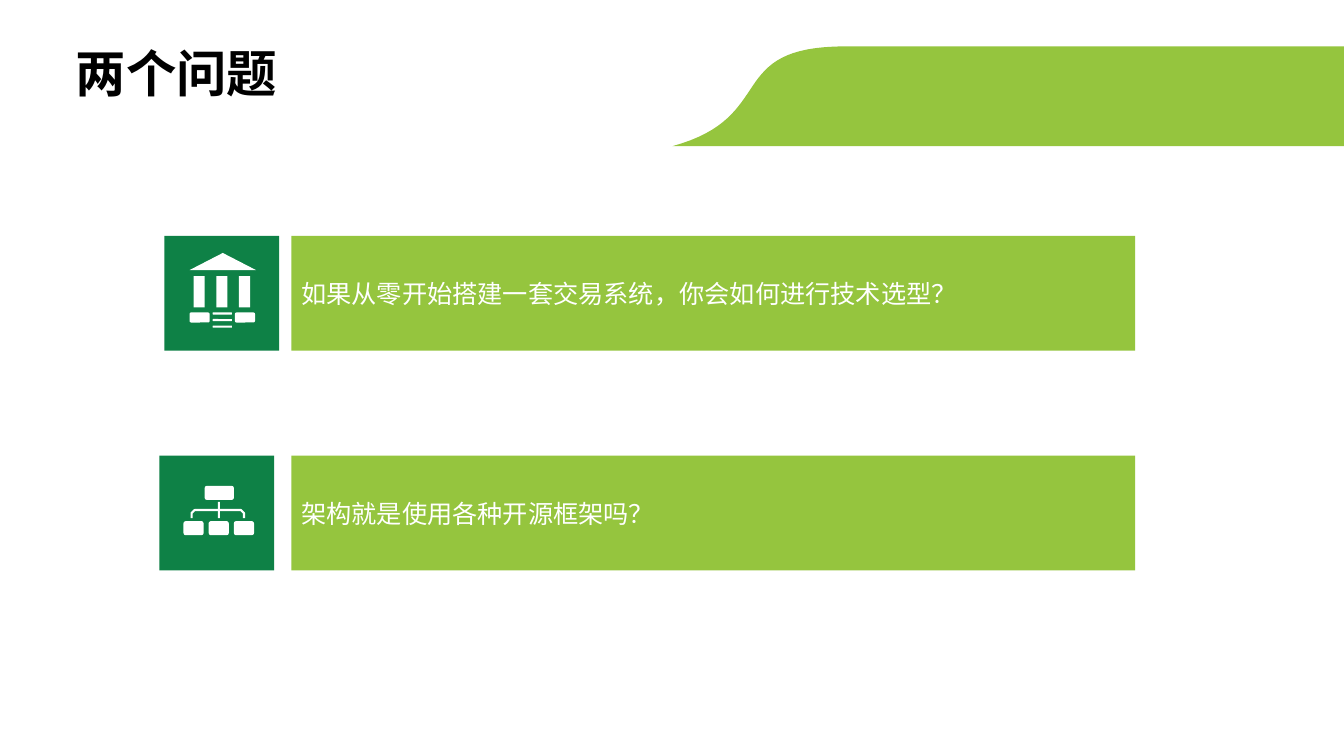
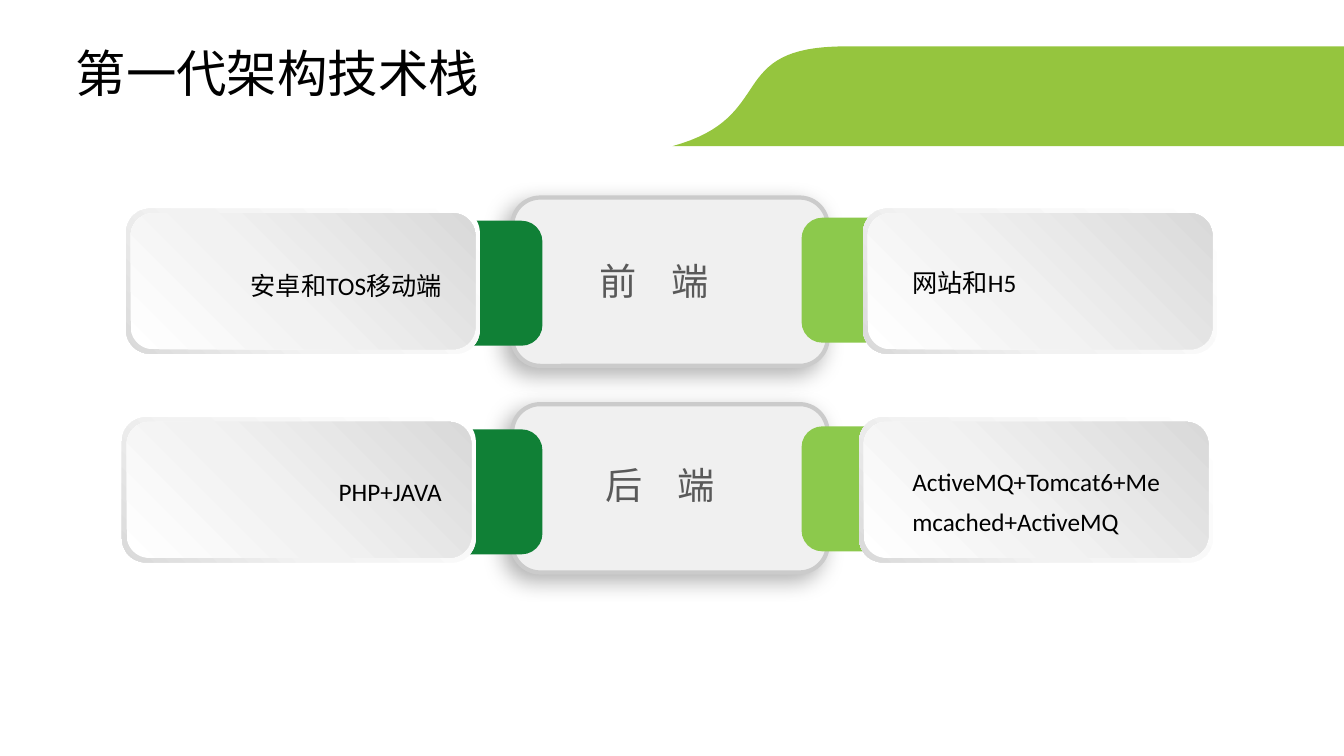
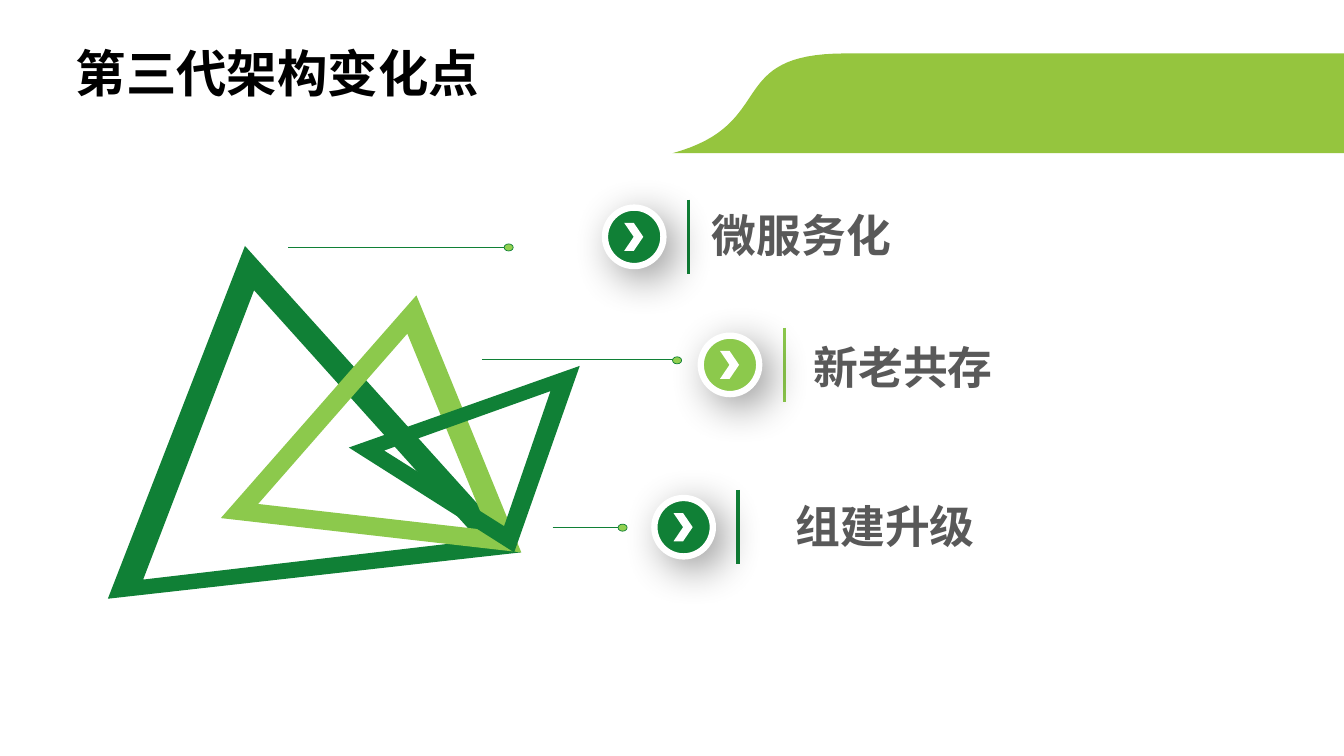
from lxml import etree
from pptx import Presentation
from pptx.dml.color import RGBColor
from pptx.enum.shapes import MSO_CONNECTOR, MSO_SHAPE as SHAPE
from pptx.enum.text import MSO_ANCHOR as ANCHOR, MSO_AUTO_SIZE as FIT, PP_ALIGN as ALIGN
from pptx.oxml.ns import qn
from pptx.util import Inches, Pt

COLORS = {
    "band": "95C53E", "icon": "0E8146", "dark": "108036", "light": "8CC94C",
    "dot": "92D050", "panel": "F0F0F0", "edge": "CBCBCB", "label": "595959",
    "black": "000000", "white": "FFFFFF", "mist": "F2F2F2", "silver": "D9D9D9",
}
TITLE = {"size": Pt(36), "name": "Calibri", "color": "black"}
BODY = {"size": Pt(18), "name": "Calibri", "color": "black"}
ON_GREEN = {**BODY, "color": "white"}
PANEL_LABEL = {"size": Pt(26.6), "name": "Karla", "color": "label"}
POINT_LABEL = {"size": Pt(32), "name": "Karla", "color": "label", "bold": True}


def rgb(name):
    return RGBColor.from_string(COLORS[name])


def bezier(p0, p1, p2, p3, steps=32):
    """Points along a cubic curve, without its start."""
    points = []
    for i in range(1, steps + 1):
        t = i / steps
        weights = ((1 - t) ** 3, 3 * t * (1 - t) ** 2, 3 * t * t * (1 - t), t ** 3)
        points.append(tuple(sum(w * p[axis] for w, p in zip(weights, (p0, p1, p2, p3)))
                            for axis in (0, 1)))
    return points


class Deck:
    """The shared style and the slide being built."""

    def __init__(self):
        self.prs = Presentation()
        self.prs.slide_width, self.prs.slide_height = Inches(13.33), Inches(7.5)
        self.s = None

    def slide(self, title, bold=True, band_top=0.46):
        self.s = self.prs.slides.add_slide(self.prs.slide_layouts[5])
        self.band(band_top)
        sp = self.s.shapes.title
        sp.left, sp.top = Inches(0.65), Inches(0.37)
        sp.width, sp.height = Inches(0.2 + 0.505 * len(title)), Inches(0.71)
        self.set_text(sp, title, {**TITLE, "bold": bold}, wrap=False)

    def band(self, top):
        bottom = top + 0.99
        curve = bezier((6.67, bottom), (7.73, top + 0.7), (7.17, top), (8.39, top))
        self.outline([[(13.33, top), (13.33, bottom), (6.67, bottom)] + curve], "band")

    def set_text(self, sp, text, style, align=ALIGN.LEFT, anchor=ANCHOR.TOP,
                 wrap=True, spacing=None, tab=None, fit=FIT.SHAPE_TO_FIT_TEXT):
        tf = sp.text_frame
        tf.word_wrap, tf.auto_size, tf.vertical_anchor = wrap, fit, anchor
        p = tf.paragraphs[0]
        p.alignment = align
        if spacing:
            p.line_spacing = spacing
        if tab:
            tabs = etree.SubElement(p._p.get_or_add_pPr(), qn("a:tabLst"))
            etree.SubElement(tabs, qn("a:tab"), pos=str(Inches(tab)), algn="l")
        r = p.add_run()
        r.text = text
        for key, value in style.items():
            if key == "color":
                r.font.color.rgb = rgb(value)
            else:
                setattr(r.font, key, value)

    def text(self, x, y, w, h, text, style, **layout):
        box = self.s.shapes.add_textbox(Inches(x), Inches(y), Inches(w), Inches(h))
        self.set_text(box, text, style, **layout)

    def paint(self, sp, fill=None, line=None, width=None):
        sp.shadow.inherit = False
        if fill:
            sp.fill.solid()
            sp.fill.fore_color.rgb = rgb(fill)
        else:
            sp.fill.background()
        if line:
            sp.line.color.rgb = rgb(line)
            sp.line.width = Pt(width)
        else:
            sp.line.fill.background()
        return sp

    def shape(self, kind, x, y, w, h, fill, line=None, width=None):
        sp = self.s.shapes.add_shape(kind, Inches(x), Inches(y), Inches(w), Inches(h))
        return self.paint(sp, fill, line, width)

    def outline(self, contours, fill=None, line=None, width=None, close=True):
        builder = None
        for contour in contours:
            points = [(Inches(x), Inches(y)) for x, y in contour]
            if builder is None:
                builder = self.s.shapes.build_freeform(*points[0])
            else:
                builder.move_to(*points[0])
            builder.add_line_segments(points[1:], close=close)
        return self.paint(builder.convert_to_shape(), fill, line, width)

    def line(self, x1, y1, x2, y2, color, width):
        ln = self.s.shapes.add_connector(
            MSO_CONNECTOR.STRAIGHT, Inches(x1), Inches(y1), Inches(x2), Inches(y2))
        ln.line.color.rgb = rgb(color)
        ln.line.width = Pt(width)
        etree.SubElement(ln._element.spPr, qn("a:effectLst"))

    def shadow(self, sp, alpha, blur, dist, angle):
        effects = sp._element.spPr.find(qn("a:effectLst"))
        outer = etree.SubElement(effects, qn("a:outerShdw"), blurRad=str(Pt(blur)),
                                 dist=str(Pt(dist)), dir=str(angle * 60000),
                                 algn="ctr", rotWithShape="0")
        color = etree.SubElement(outer, qn("a:srgbClr"), val=COLORS["black"])
        etree.SubElement(color, qn("a:alpha"), val=str(alpha * 1000))

    def gradient(self, sp, stops, angle):
        sp.fill.gradient()
        grad = sp._element.spPr.find(qn("a:gradFill"))
        stop_list = grad.find(qn("a:gsLst"))
        for old in list(stop_list):
            stop_list.remove(old)
        for pos, name in stops:
            stop = etree.SubElement(stop_list, qn("a:gs"), pos=str(pos * 1000))
            etree.SubElement(stop, qn("a:srgbClr"), val=COLORS[name])
        grad.find(qn("a:lin")).set("ang", str(angle * 60000))

    def card(self, x, y):
        """A pale card with a rim shaded the opposite way."""
        for inset, middle, angle in ((0, 62, 135), (0.045, 42, 315)):
            sp = self.shape(SHAPE.ROUNDED_RECTANGLE, x + inset, y + inset,
                            3.51 - 2 * inset, 1.44 - 2 * inset, "white")
            self.gradient(sp, [(0, "white"), (middle, "mist"), (100, "silver")], angle)

    def question(self, icon_x, y, text):
        self.shape(SHAPE.RECTANGLE, icon_x, y, 1.14, 1.14, "icon")
        bar = self.shape(SHAPE.RECTANGLE, 2.89, y, 8.37, 1.14, "band")
        self.set_text(bar, text, ON_GREEN, anchor=ANCHOR.MIDDLE, fit=FIT.NONE)

    def bullet(self, x, y, color):
        """A round chevron button followed by an upright rule."""
        self.line(x + 0.83, y - 0.08, x + 0.83, y + 0.66, color, 2.25)
        disc = self.shape(SHAPE.OVAL, x, y, 0.58, 0.58, color, "white", 4.5)
        self.shadow(disc, 40, 30, 10, 45)
        self.shape(SHAPE.CHEVRON, x + 0.19, y + 0.15, 0.19, 0.28, "white")

    def pointer(self, x1, x2, y):
        self.line(x1, y, x2, y, "dark", 0.5)
        self.shape(SHAPE.OVAL, x2 - 0.05, y - 0.03, 0.09, 0.07, "dot", "dark", 0.5)


def questions(d):
    d.slide("两个问题")
    d.question(1.63, 2.34, "如果从零开始搭建一套交易系统，你会如何进行技术选型？")
    d.question(1.58, 4.52, "架构就是使用各种开源框架吗？")
    # Bank icon
    d.outline([[(1.88, 2.68), (2.54, 2.68), (2.21, 2.51)]], "white")
    for i in range(3):
        d.shape(SHAPE.RECTANGLE, 1.92 + 0.225 * i, 2.74, 0.11, 0.31, "white")
        d.shape(SHAPE.ROUNDED_RECTANGLE, 2.11, 3.1 + 0.065 * i, 0.19, 0.02, "white")
    for x in (1.88, 2.33):
        d.shape(SHAPE.ROUNDED_RECTANGLE, x, 3.1, 0.2, 0.1, "white")
    # Hierarchy icon
    d.shape(SHAPE.ROUNDED_RECTANGLE, 2.03, 4.82, 0.29, 0.14, "white")
    for i in range(3):
        d.shape(SHAPE.ROUNDED_RECTANGLE, 1.82 + 0.25 * i, 5.17, 0.2, 0.14, "white")
    d.shape(SHAPE.RECTANGLE, 2.16, 4.98, 0.02, 0.16, "white")
    d.outline([[(1.9, 5.14), (1.9, 5.09), (1.93, 5.06), (2.39, 5.06),
                (2.42, 5.09), (2.42, 5.14)]], line="white", width=1.5, close=False)


def first_stack(d):
    d.slide("第一代架构技术栈", bold=False)
    # Panels with a green tab and a card on each side
    for row in range(2):
        step = 2.07 * row
        panel = d.shape(SHAPE.ROUNDED_RECTANGLE, 5.08, 1.96 + 2.05 * row, 3.13, 1.67,
                        "panel", "edge", 3)
        d.shadow(panel, 30, 16, 7, 135)
        for tab_x, tab_y, color, card_x in ((2.36, 2.19, "dark", 1.25),
                                            (7.95, 2.16, "light", 8.56)):
            d.shape(SHAPE.ROUNDED_RECTANGLE, tab_x, tab_y + step, 3.02, 1.24, color)
            d.card(card_x - 0.04 * row, 2.07 + step)
    # Labels
    for x, y, text in ((5.85, 2.51, "前\t端"), (5.91, 4.54, "后\t端")):
        d.text(x, y, 1.61, 0.55, text, PANEL_LABEL, tab=0.71)
    for x, y, h, text, align in (
            (1.76, 2.54, 0.46, "安卓和TOS移动端", ALIGN.RIGHT),
            (8.95, 2.51, 0.46, "网站和H5", ALIGN.LEFT),
            (1.76, 4.59, 0.46, "PHP+JAVA", ALIGN.RIGHT),
            (8.95, 4.49, 0.89, "ActiveMQ+Tomcat6+Memcached+ActiveMQ", ALIGN.LEFT)):
        d.text(x, y, 2.72, h, text, BODY, align=align, spacing=1.3)


def third_changes(d):
    d.slide("第三代架构变化点", band_top=0.53)
    # Hollow triangles, outer then inner contour
    for outer, inner, color in (
            ([(2.43, 2.44), (1.07, 5.94), (5.17, 5.48)],
             [(2.52, 2.88), (4.75, 5.36), (1.42, 5.75)], "dark"),
            ([(4.13, 2.93), (2.19, 5.14), (5.17, 5.48)],
             [(4.04, 3.31), (4.84, 5.26), (2.56, 5)], "light"),
            ([(3.46, 4.44), (5.1, 5.48), (5.75, 3.63)],
             [(5, 5.22), (3.81, 4.47), (5.46, 3.88)], "dark")):
        d.outline([outer, inner], color)
    # Pointers
    for x1, x2, y in ((2.86, 5.05, 2.45), (4.78, 6.72, 3.57), (5.48, 6.18, 5.23)):
        d.pointer(x1, x2, y)
    # Points
    for x, y, color, text_x, text_y, w, text in (
            (6, 2.06, "dark", 6.96, 2.01, 2.45, "微服务化"),
            (6.95, 3.33, "light", 7.97, 3.32, 3.17, "新老共存"),
            (6.49, 4.94, "dark", 7.79, 4.9, 3.15, "组建升级")):
        d.bullet(x, y, color)
        d.text(text_x, text_y, w, 0.64, text, POINT_LABEL)


def main():
    d = Deck()
    for build in (questions, first_stack, third_changes):
        build(d)
    d.prs.save("out.pptx")


if __name__ == "__main__":
    main()
